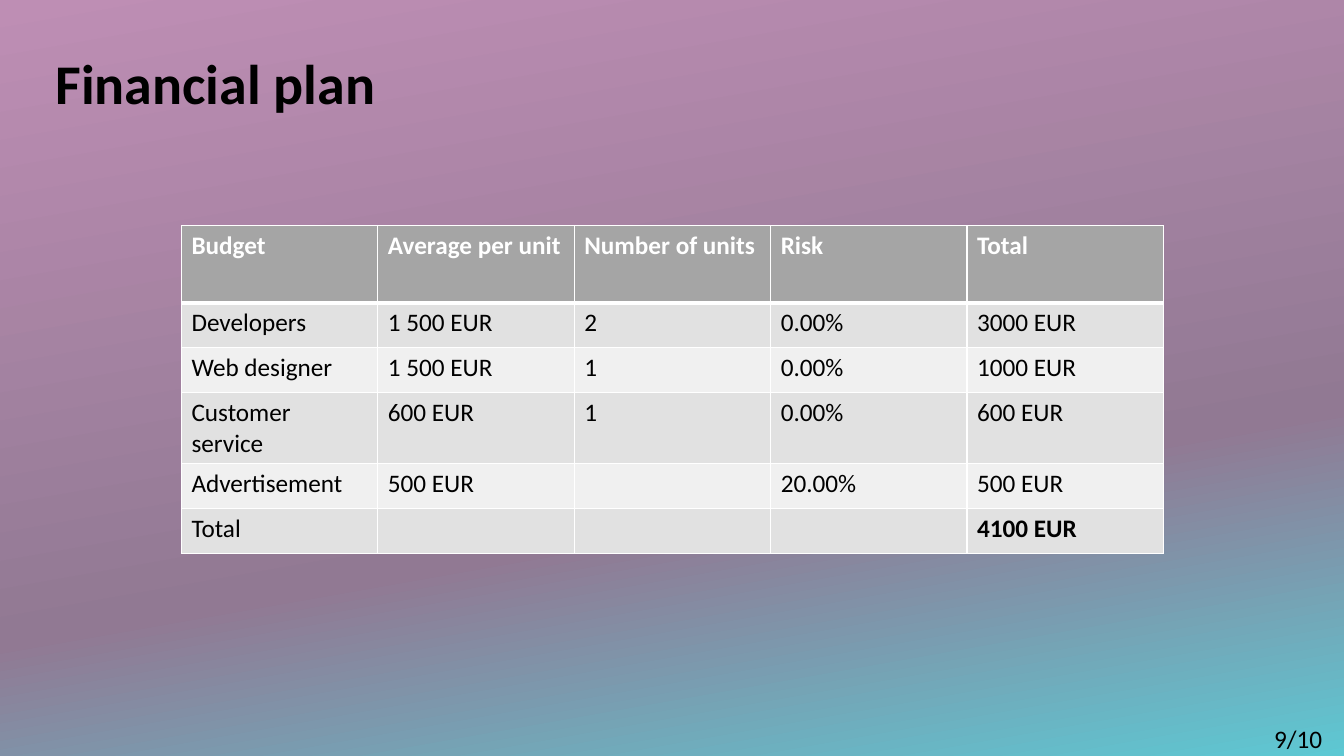
from copy import deepcopy

from lxml import etree
from pptx import Presentation
from pptx import util as u
from pptx.dml.color import RGBColor
from pptx.enum import text
from pptx.oxml.ns import qn

BLACK = RGBColor(0x00, 0x00, 0x00)
WHITE = RGBColor(0xFF, 0xFF, 0xFF)
HEADER_GREY = RGBColor(0xA5, 0xA5, 0xA5)
BANDS = RGBColor(0xE1, 0xE1, 0xE1), RGBColor(0xF0, 0xF0, 0xF0)
BACKDROP = [
    (0, RGBColor(0xBE, 0x8E, 0xB4)),
    (0.65, RGBColor(0x91, 0x79, 0x93)),
    (1, RGBColor(0x5D, 0xC8, 0xD3)),
]
BUDGET = [
    ["Budget", "Average per unit", "Number of units", "Risk", "Total"],
    ["Developers", "1 500 EUR", "2", "0.00%", "3000 EUR"],
    ["Web designer", "1 500 EUR", "1", "0.00%", "1000 EUR"],
    ["Customer service", "600 EUR", "1", "0.00%", "600 EUR"],
    ["Advertisement", "500 EUR", "", "20.00%", "500 EUR"],
    ["Total", "", "", "", "4100 EUR"],
]


class SlideBuilder:
    """Places elements on one page; lengths are percentages of the slide's size."""

    font = "Calibri"
    body_size = 18
    title_size = 40

    def __init__(self, deck):
        self.deck = deck
        self.page = deck.slides.add_slide(deck.slide_layouts[5])

    def across(self, percent):
        return u.Emu(round(self.deck.slide_width * percent / 100))

    def down(self, percent):
        return u.Emu(round(self.deck.slide_height * percent / 100))

    def frame(self, left, top, width, height):
        return self.across(left), self.down(top), self.across(width), self.down(height)

    def set_words(self, frame, words, size, color=BLACK, bold=False):
        frame.text = words
        for para in frame.paragraphs:
            para.alignment = text.PP_ALIGN.LEFT
            for span in para.runs:
                span.font.name = self.font
                span.font.size = u.Pt(size)
                span.font.bold = bold
                span.font.color.rgb = color

    def background(self, stops, angle):
        fill = self.page.background.fill
        fill.gradient()
        fill.gradient_angle = angle
        stop_list = self.page.element.find(".//" + qn("a:gsLst"))
        while len(stop_list) < len(stops):
            stop_list.append(deepcopy(stop_list[0]))
        for stop, (position, color) in zip(fill.gradient_stops, stops):
            stop.position = position
            stop.color.rgb = color

    def title(self, words, *place):
        box = self.page.shapes.title
        box.left, box.top, box.width, box.height = self.frame(*place)
        frame = box.text_frame
        self.set_words(frame, words, self.title_size, bold=True)
        frame.word_wrap = True
        frame.auto_size = text.MSO_AUTO_SIZE.NONE
        frame.vertical_anchor = text.MSO_ANCHOR.TOP
        frame.margin_top = u.Inches(0.25)
        frame.paragraphs[0].line_spacing = 0.9

    def label(self, words, *place):
        box = self.page.shapes.add_textbox(*self.frame(*place))
        self.set_words(box.text_frame, words, self.body_size)
        box.text_frame.word_wrap = False
        box.text_frame.auto_size = text.MSO_AUTO_SIZE.SHAPE_TO_FIT_TEXT

    def border(self, cell, **widths):
        """Draw white edges, given as L, R, T, B widths in points, before any fill."""
        properties = cell._tc.get_or_add_tcPr()
        for side, width in widths.items():
            line = etree.SubElement(properties, qn(f"a:ln{side}"), w=str(int(u.Pt(width))))
            fill = etree.SubElement(line, qn("a:solidFill"))
            etree.SubElement(fill, qn("a:srgbClr"), val=str(WHITE))

    def table(self, rows, left, top, width, header_height, row_height):
        height = header_height + row_height * (len(rows) - 1)
        place = self.frame(left, top, width, height)
        grid = self.page.shapes.add_table(len(rows), len(rows[0]), *place).table
        for r, row in enumerate(rows):
            header = r == 0
            grid.rows[r].height = self.down(header_height if header else row_height)
            for c, words in enumerate(row):
                cell = grid.cell(r, c)
                grand_total = r == len(rows) - 1 and c == len(row) - 1
                self.set_words(cell.text_frame, words, self.body_size,
                               WHITE if header else BLACK, header or grand_total)
                self.border(cell, L=1, R=1, T=3 if r == 1 else 1, B=3 if header else 1)
                cell.fill.solid()
                cell.fill.fore_color.rgb = HEADER_GREY if header else BANDS[(r - 1) % 2]


def main():
    deck = Presentation()
    deck.slide_width, deck.slide_height = u.Inches(13.33), u.Inches(7.5)
    slide = SlideBuilder(deck)
    slide.background(BACKDROP, angle=280)
    slide.title("Financial plan", 3.38, 4.13, 89.2, 27.6)
    slide.label("9/10", 94.07, 95.07, 5.1, 5.33)
    slide.table(BUDGET, 13.5, 29.87, 73.07, header_height=10.2, row_height=5.95)
    deck.save("out.pptx")


if __name__ == "__main__":
    main()
